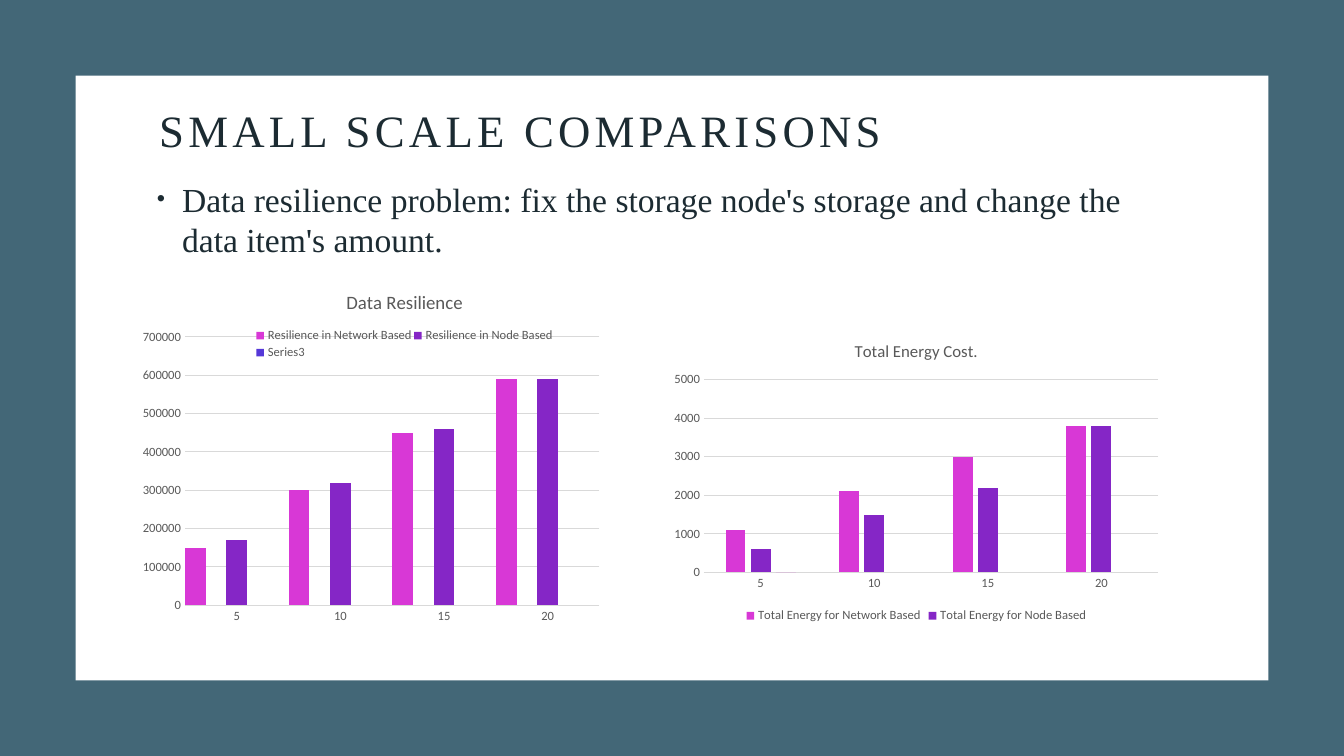
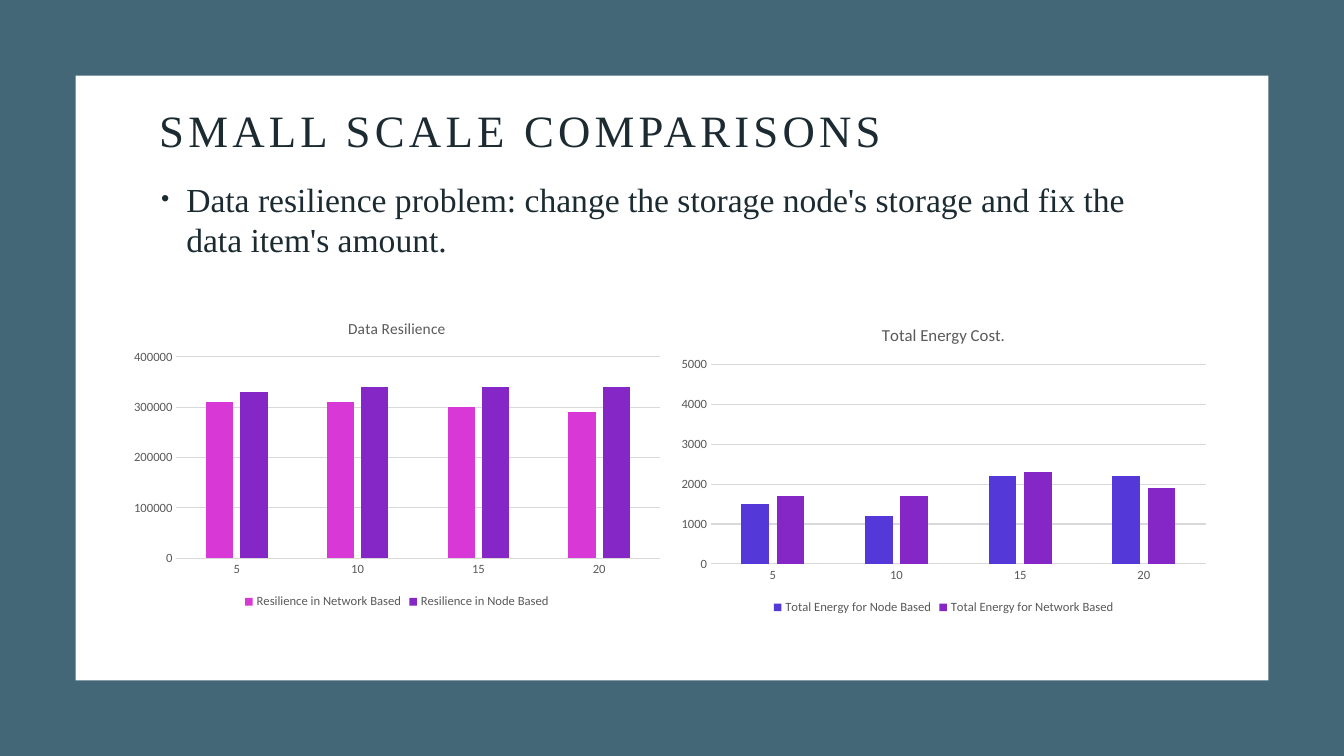
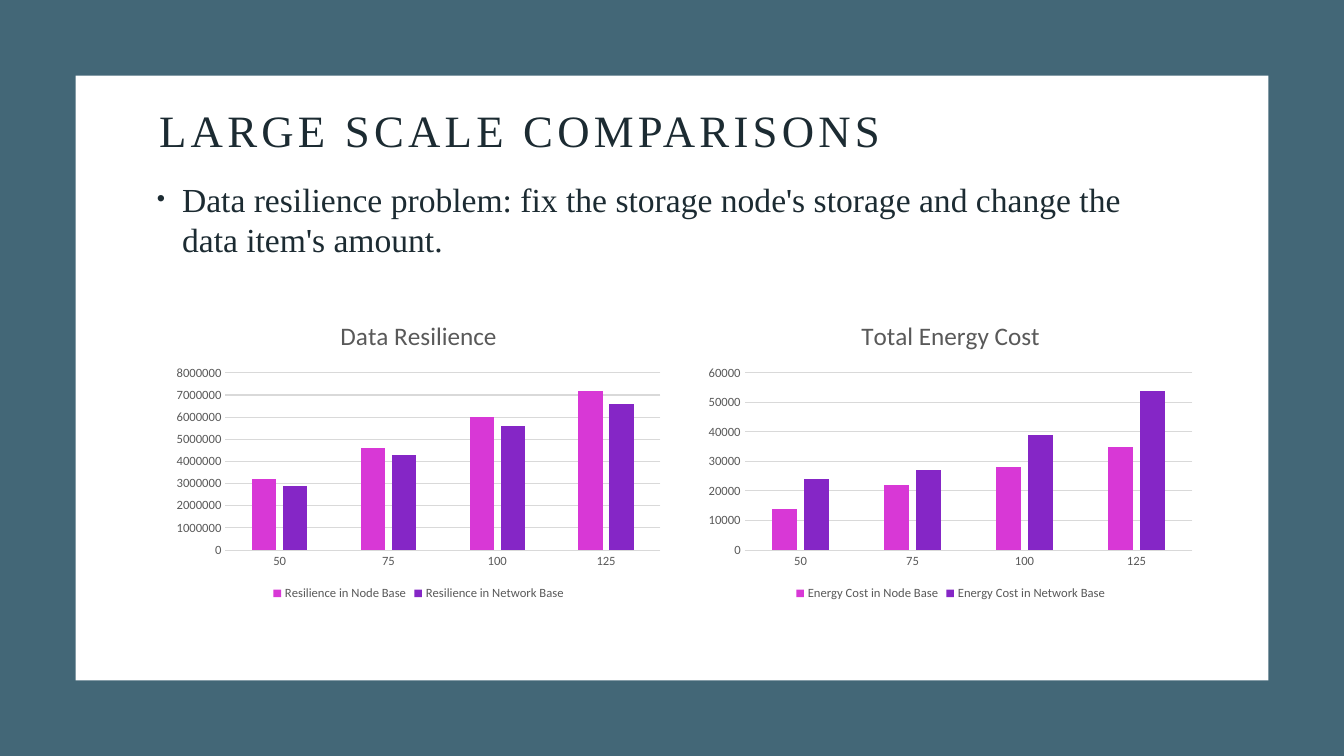
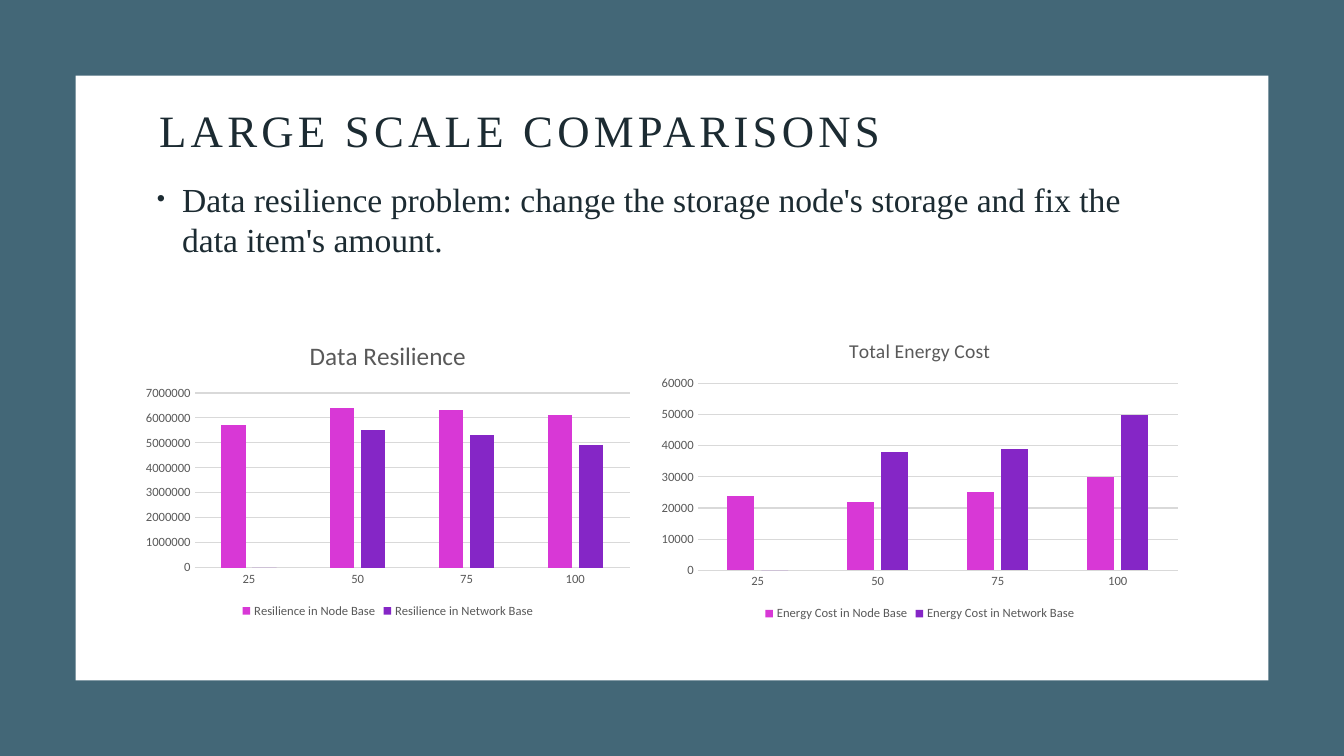
from dataclasses import dataclass

from lxml import etree
from pptx import Presentation
from pptx.chart.data import CategoryChartData
from pptx.dml.color import RGBColor
from pptx.enum.chart import XL_CHART_TYPE, XL_LEGEND_POSITION, XL_TICK_MARK
from pptx.enum.shapes import MSO_SHAPE
from pptx.enum.text import MSO_ANCHOR, MSO_AUTO_SIZE, PP_ALIGN
from pptx.oxml.ns import qn
from pptx.util import Pt

COLUMNS = XL_CHART_TYPE.COLUMN_CLUSTERED
TOP, BOTTOM = XL_LEGEND_POSITION.TOP, XL_LEGEND_POSITION.BOTTOM
NO_TICK = XL_TICK_MARK.NONE
RECT = MSO_SHAPE.RECTANGLE
LOW, HIGH = MSO_ANCHOR.BOTTOM, MSO_ANCHOR.TOP
LEFT = PP_ALIGN.LEFT
FIXED = MSO_AUTO_SIZE.NONE
TITLE_ONLY = 5


@dataclass(frozen=True)
class Theme:
    frame: str = "436777"
    panel: str = "FFFFFF"
    ink: str = "1C2B32"
    black: str = "000000"
    label: str = "595959"
    grid: str = "D9D9D9"
    pink: str = "D838D6"
    purple: str = "8526C6"
    blue: str = "5538D8"
    serif: str = "Times New Roman"
    sans: str = "Calibri"
    head: float = 32
    body: float = 24
    base: float = 10
    small: float = 9
    hair: float = 0.75
    wide: float = 960
    high: float = 540
    edge: float = 54


THEME = Theme()
PAIR = (THEME.pink, THEME.purple)
PROBLEM = "Data resilience problem: "
FIX_NODE = PROBLEM + "fix the storage node's storage and change the data item's amount."
FIX_ITEM = PROBLEM + "change the storage node's storage and fix the data item's amount."
SMALL = ("5", "10", "15", "20")
NODE_NET = ("Resilience in Node Base", "Resilience in Network Base")
NET_NODE = ("Resilience in Network Based", "Resilience in Node Based")
COST = ("Energy Cost in Node Base", "Energy Cost in Network Base")

SLIDES = [
    dict(title="SMALL SCALE COMPARISONS", text=FIX_NODE, left=105, charts=[
        dict(box=(102, 191.5, 354.5, 259), title="Data Resilience", size=13.5,
             cats=SMALL, names=(*NET_NODE, "Series3"),
             rows=((150000, 300000, 450000, 590000),
                   (170000, 320000, 460000, 590000), (None,) * 4),
             hues=(*PAIR, THEME.blue), top=700000, step=100000,
             gap=0, overlap=-100, legend=TOP,
             places={"title": (0.4, 0.05), "legend": (0.22, 0.16, 0.61, 0.1),
                     "plotArea": (0.08, 0.19, 0.84, 0.74)}),
        dict(box=(474.5, 232, 360, 216), title="Total Energy Cost.", size=12,
             cats=SMALL,
             names=("Total Energy for Network Based",
                    "Total Energy for Node Based", "Series 3"),
             rows=((1100, 2100, 3000, 3800), (600, 1500, 2200, 3800), (0,)),
             hues=(*PAIR, THEME.pink), top=5000, step=1000, hide=2),
    ]),
    dict(title="SMALL SCALE COMPARISONS", text=FIX_ITEM, left=108, charts=[
        dict(box=(88, 217, 391, 221), title="Data Resilience", size=11,
             cats=SMALL, names=NET_NODE,
             rows=((310000, 310000, 300000, 290000),
                   (330000, 340000, 340000, 340000)),
             top=400000, step=100000),
        dict(box=(479, 221, 390, 221), title="Total Energy Cost.", size=12,
             cats=SMALL,
             names=("Total Energy for Node Based",
                    "Total Energy for Network Based"),
             rows=((1500, 1200, 2200, 2200), (1700, 1700, 2300, 1900)),
             hues=(THEME.blue, THEME.purple), top=5000, step=1000),
    ]),
    dict(title="LARGE SCALE COMPARISONS", text=FIX_NODE, left=105, charts=[
        dict(box=(119, 216, 360, 216), title="Data Resilience", size=18,
             cats=("50", "75", "100", "125"), names=NODE_NET,
             rows=((3200000, 4600000, 6000000, 7200000),
                   (2900000, 4300000, 5600000, 6600000)),
             top=8000000, step=1000000),
        dict(box=(499, 216, 360, 216), title="Total Energy Cost", size=18,
             cats=("50", "75", "100", "125"), names=COST,
             rows=((14000, 22000, 28000, 35000), (24000, 27000, 39000, 54000)),
             top=60000, step=10000),
    ]),
    dict(title="LARGE SCALE COMPARISONS", text=FIX_ITEM, left=105, charts=[
        dict(box=(97, 230.5, 360, 214), title="Data Resilience", size=18,
             cats=("25", "50", "75", "100"), names=NODE_NET,
             rows=((5700000, 6400000, 6300000, 6100000),
                   (0, 5500000, 5300000, 4900000)),
             top=7000000, step=1000000),
        dict(box=(465, 230.5, 384, 216), title="Total Energy Cost", size=14,
             cats=("25", "50", "75", "100"), names=COST,
             rows=((24000, 22000, 25000, 30000), (0, 38000, 39000, 50000)),
             top=60000, step=10000),
    ]),
]


def put(item, **values):
    for name, value in values.items():
        setattr(item, name, value)


def style(font, face, size, color):
    put(font, name=face, size=Pt(size), bold=False)
    font.color.rgb = RGBColor.from_string(color)


def paint(fill, color):
    fill.solid()
    fill.fore_color.rgb = RGBColor.from_string(color)


def rule(line):
    paint(line.fill, THEME.grid)
    line.width = Pt(THEME.hair)


def child(parent, tag, **values):
    return etree.SubElement(parent, qn(tag), values)


def add_rect(slide, box, color):
    shape = slide.shapes.add_shape(RECT, *map(Pt, box))
    shape.shadow.inherit = False
    paint(shape.fill, color)
    shape.line.fill.background()


def write(shape, text, size, anchor):
    """Fill a shape with one left-aligned serif paragraph and return it."""
    frame = shape.text_frame
    put(frame, text=text, word_wrap=True, auto_size=FIXED,
        vertical_anchor=anchor)
    para = frame.paragraphs[0]
    para.alignment = LEFT
    style(para.runs[0].font, THEME.serif, size, THEME.ink)
    return para


def add_title(slide, text):
    title = slide.shapes.title
    put(title, left=Pt(106.5), top=Pt(8), width=Pt(747.5), height=Pt(108))
    para = write(title, text, THEME.head, LOW)
    para.line_spacing = 0.9
    para.runs[0].font._element.set("spc", "300")
    title.element.getparent().append(title.element)


def add_bullet(slide, left, text):
    box = slide.shapes.add_textbox(Pt(left), Pt(124), Pt(747.5), Pt(308))
    para = write(box, text, THEME.body, HIGH)
    para.space_before = Pt(10)
    props = para._p.get_or_add_pPr()
    props.set("marL", str(Pt(18)))
    props.set("indent", str(-Pt(18)))
    child(props, "a:buSzPct", val="70000")
    child(props, "a:buFont", typeface="Arial")
    child(props, "a:buChar", char="•")


def place(node, spots):
    """Set a chart part's position as fractions of the chart."""
    layout = node.find(qn("c:layout"))
    if layout is None:
        layout = etree.Element(qn("c:layout"))
        cover = node.find(qn("c:overlay"))
        if cover is None:
            node.insert(0, layout)
        else:
            cover.addprevious(layout)
    manual = child(layout, "c:manualLayout")
    if node.tag == qn("c:plotArea"):
        child(manual, "c:layoutTarget", val="inner")
    for side in "xy":
        child(manual, f"c:{side}Mode", val="edge")
    for side, spot in zip("xywh", spots):
        child(manual, f"c:{side}", val=str(spot))


def hide_key(chart, index):
    """Drop one series from the legend."""
    entry = etree.Element(qn("c:legendEntry"))
    child(entry, "c:idx", val=str(index))
    child(entry, "c:delete", val="1")
    chart.element.xpath("//c:legendPos")[0].addnext(entry)


def set_axes(chart, top, step):
    for axis in (chart.category_axis, chart.value_axis):
        put(axis, major_tick_mark=NO_TICK, minor_tick_mark=NO_TICK)
        style(axis.tick_labels.font, THEME.sans, THEME.small, THEME.label)
    rule(chart.category_axis.format.line)
    value = chart.value_axis
    put(value, minimum_scale=0, maximum_scale=top, major_unit=step)
    value.format.line.fill.background()
    rule(value.major_gridlines.format.line)


def add_columns(slide, box, title, size, cats, names, rows, top, step,
                hues=PAIR, gap=219, overlap=-27, legend=BOTTOM, hide=None,
                places=None):
    data = CategoryChartData()
    data.categories = cats
    for name, row in zip(names, rows):
        data.add_series(name, row)
    chart = slide.shapes.add_chart(COLUMNS, *map(Pt, box), data).chart
    style(chart.font, THEME.sans, THEME.base, THEME.black)
    put(chart, has_title=True, has_legend=True)

    frame = chart.chart_title.text_frame
    frame.text = title
    style(frame.paragraphs[0].runs[0].font, THEME.sans, size, THEME.label)
    put(chart.legend, position=legend, include_in_layout=False)
    style(chart.legend.font, THEME.sans, THEME.small, THEME.label)

    plot = chart.plots[0]
    put(plot, gap_width=gap, overlap=overlap, vary_by_categories=False)
    for series, hue in zip(plot.series, hues):
        series.invert_if_negative = False
        paint(series.format.fill, hue)
    set_axes(chart, top, step)

    if hide is not None:
        hide_key(chart, hide)
    for part, spots in (places or {}).items():
        place(chart.element.xpath(f"c:chart//c:{part}")[0], spots)


def add_page(deck, title, text, left, charts):
    slide = deck.slides.add_slide(deck.slide_layouts[TITLE_ONLY])
    edge = THEME.edge
    add_rect(slide, (0, 0, THEME.wide, THEME.high), THEME.frame)
    add_rect(slide, (edge, edge, THEME.wide - 2 * edge, THEME.high - 2 * edge),
             THEME.panel)
    add_title(slide, title)
    add_bullet(slide, left, text)
    for chart in charts:
        add_columns(slide, **chart)


def main():
    deck = Presentation()
    put(deck, slide_width=Pt(THEME.wide), slide_height=Pt(THEME.high))
    for page in SLIDES:
        add_page(deck, **page)
    deck.save("out.pptx")


if __name__ == "__main__":
    main()
